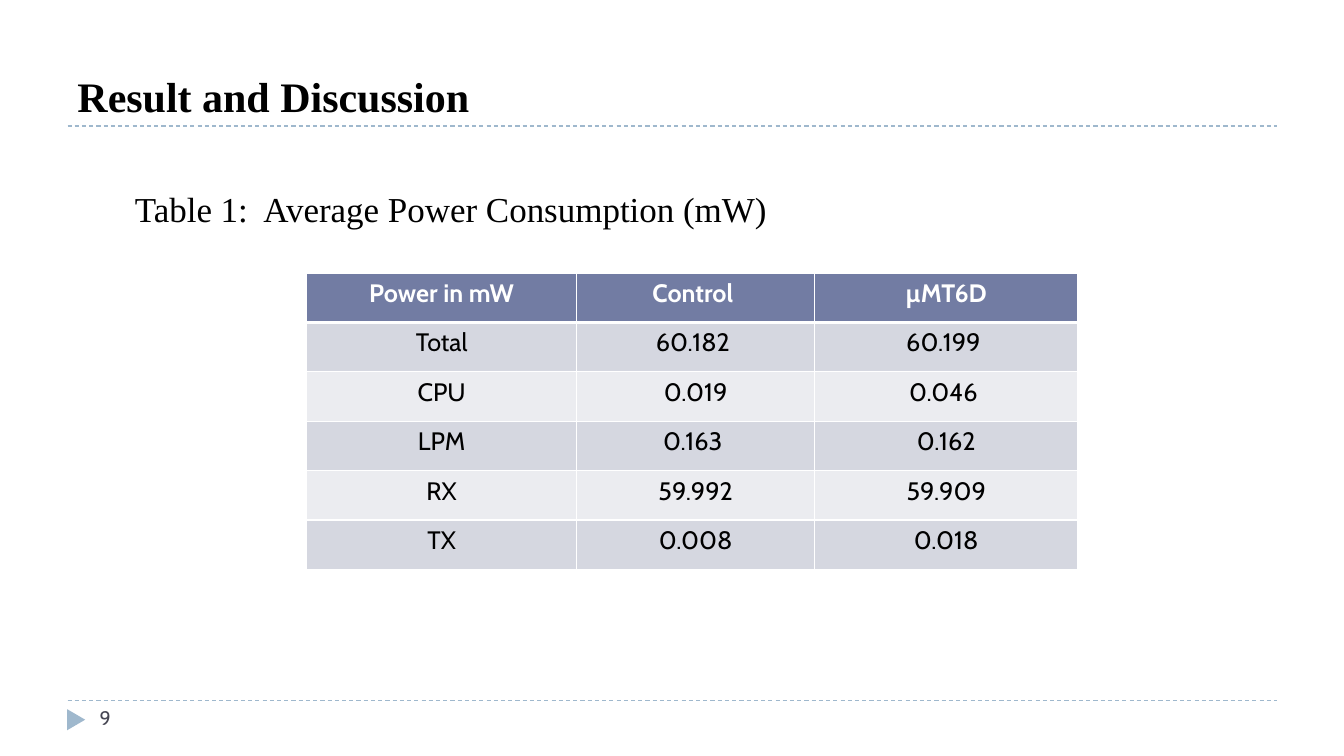
import pptx
import pptx.util
import pptx.dml.color
import pptx.enum.dml
import pptx.enum.shapes
import pptx.enum.text
import pptx.oxml
import pptx.oxml.ns

Inches = pptx.util.Inches
Pt = pptx.util.Pt
ANCHOR = pptx.enum.text.MSO_ANCHOR
SERIF, SANS = "Times New Roman", "Cabin"
ACCENT, HEADER, BANDS = "9FB8CD", "727CA3", ("D5D7E0", "EBECF0")
ROWS = [
    ("Power in mW", "Control ", "µMT6D"),
    ("Total", "60.182 ", "60.199 "),
    ("CPU", "0.019", "0.046 "),
    ("LPM", "0.163 ", "0.162"),
    ("RX", "59.992", "59.909"),
    ("TX", "0.008", "0.018"),
]


def color(value):
    return pptx.dml.color.RGBColor.from_string(value)


def apply(target, formats):
    for name, value in formats.items():
        setattr(target, name, value)


def write(frame, text, font, size, shade, bold=False, align=None):
    paragraph = frame.paragraphs[0]
    paragraph.alignment = align
    run = paragraph.add_run()
    run.text = text
    apply(run.font, {"name": font, "size": Pt(size), "bold": bold})
    run.font.color.rgb = color(shade)


def add_label(slide, box, text, font, size, shade, bold=False, anchor=ANCHOR.TOP):
    label = slide.shapes.add_textbox(*map(Inches, box)).text_frame
    apply(label, {"word_wrap": True, "vertical_anchor": anchor})
    write(label, text, font, size, shade, bold)


def add_rule(slide, left, top, width):
    rule = slide.shapes.add_connector(
        pptx.enum.shapes.MSO_CONNECTOR.STRAIGHT,
        Inches(left), Inches(top), Inches(left + width), Inches(top))
    rule.line.color.rgb = color(ACCENT)
    apply(rule.line, {"width": Pt(0.75), "dash_style": pptx.enum.dml.MSO_LINE.DASH})
    rule._element.spPr.append(pptx.oxml.parse_xml(
        f'<a:effectLst {pptx.oxml.ns.nsdecls("a")}/>'))


def add_heading(slide, box):
    left, top, width, height = box
    add_rule(slide, left, top + height, width)
    add_label(slide, box, "Result and Discussion", SERIF, 30, "000000", True, ANCHOR.BOTTOM)


def add_footer(slide, box):
    left, top, width, height = box
    add_rule(slide, left, top, width)
    marker = slide.shapes.add_shape(
        pptx.enum.shapes.MSO_SHAPE.ISOSCELES_TRIANGLE,
        Inches(left - 0.02), Inches(top + 0.1), Inches(0.21), Inches(0.18))
    marker.rotation = 90
    marker.shadow.inherit = False
    marker.fill.solid()
    marker.fill.fore_color.rgb = color(ACCENT)
    marker.line.fill.background()
    add_label(slide, (left + 0.22, top, 2.89, height), "9", SANS, 14, "464653")


def set_borders(cell, widths):
    properties = cell._tc.get_or_add_tcPr()
    for position, (side, points) in enumerate(widths.items()):
        properties.insert(position, pptx.oxml.parse_xml(
            f'<a:{side} {pptx.oxml.ns.nsdecls("a")} w="{Pt(points)}">'
            f'<a:solidFill><a:srgbClr val="FFFFFF"/></a:solidFill></a:{side}>'))


def add_power_table(slide, box, column_widths):
    power = slide.shapes.add_table(
        len(ROWS), len(column_widths), *map(Inches, box)).table
    for column, width in zip(power.columns, column_widths):
        column.width = Inches(width)
    for r, values in enumerate(ROWS):
        power.rows[r].height = Inches(box[3] / len(ROWS))
        header = r == 0
        for c, value in enumerate(values):
            cell = power.cell(r, c)
            cell.fill.solid()
            cell.fill.fore_color.rgb = color(HEADER if header else BANDS[(r - 1) % 2])
            write(cell.text_frame, value, SANS, 18, "FFFFFF" if header else "000000",
                  header, pptx.enum.text.PP_ALIGN.CENTER)
            set_borders(cell, {"lnL": 1, "lnR": 1, "lnT": 3 if r == 1 else 1,
                               "lnB": 3 if header else 1})


def add_results(slide, box):
    left, top, width, height = box
    add_label(slide, (left + 0.57, top + 0.48, width - 0.57, 0.5),
              "Table 1:  Average Power Consumption (mW)", SERIF, 25, "000000")
    add_power_table(slide, (left + 2.37, top + 1.38, 7.65, 2.94), (2.68, 2.36, 2.61))


deck = pptx.Presentation()
apply(deck, {"slide_width": Inches(13.33), "slide_height": Inches(7.5)})
result_slide = deck.slides.add_slide(deck.slide_layouts[6])
add_footer(result_slide, (0.67, 6.95, 12, 0.4))
add_heading(result_slide, (0.67, 0.17, 12, 1.08))
add_results(result_slide, (0.67, 1.33, 12, 5.4))
deck.save("out.pptx")
